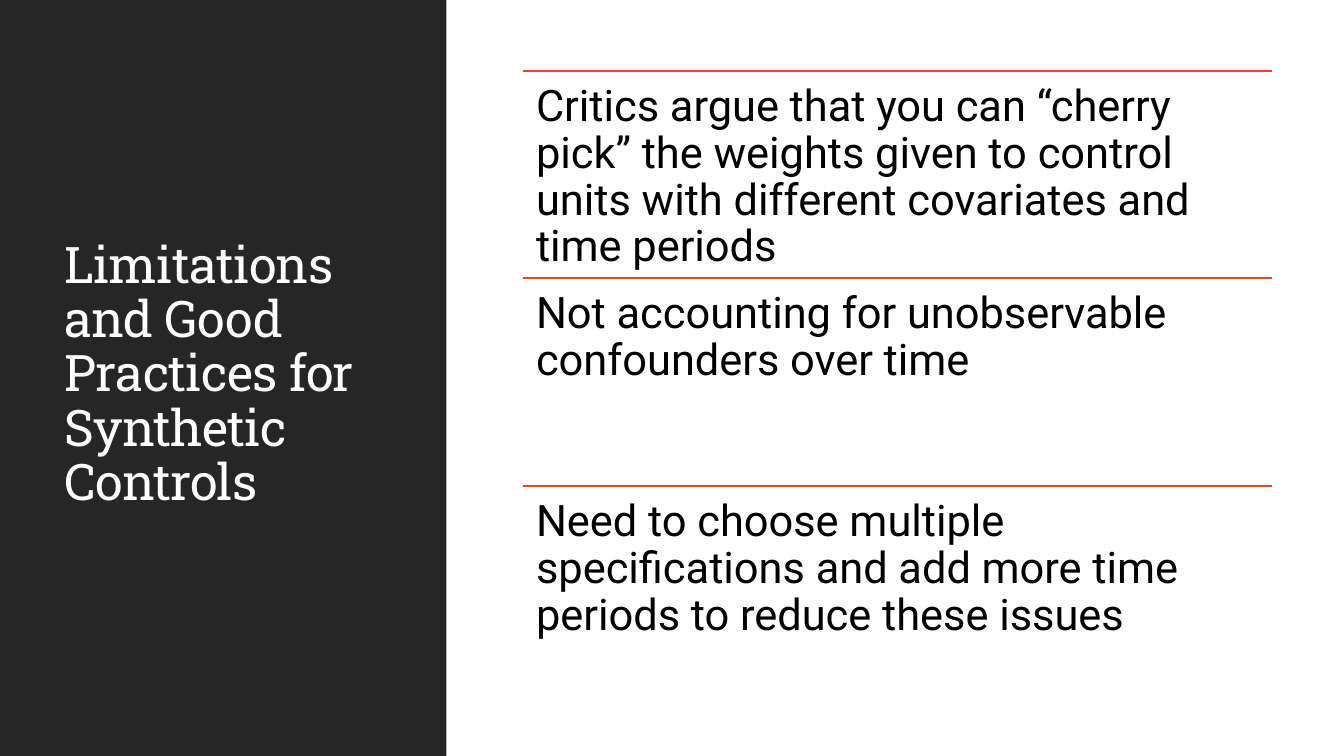
from dataclasses import dataclass

from lxml import etree
from pptx import Presentation
from pptx import util as u
from pptx.dml.color import RGBColor
from pptx.enum import shapes, text
from pptx.oxml import ns


@dataclass(frozen=True)
class Theme:
    dark: RGBColor = RGBColor(0x26, 0x26, 0x26)
    white: RGBColor = RGBColor(0xFF, 0xFF, 0xFF)
    black: RGBColor = RGBColor(0, 0, 0)
    accent: RGBColor = RGBColor(0xE6, 0x48, 0x23)
    heading_font: str = "Roboto Slab"
    body_font: str = "Roboto"
    heading_size: u.Length = u.Pt(36)
    body_size: u.Length = u.Pt(31)
    rule_width: u.Length = u.Pt(1.25)


@dataclass(frozen=True)
class Limitation:
    wording: str
    top: u.Length


THEME = Theme()
LIST_LEFT, LIST_WIDTH = u.Cm(13.18), u.Cm(18.87)
LIST_TOP, ROW_HEIGHT = u.Cm(1.78), u.Cm(5.23)
INSET = u.Cm(0.33)

WORDINGS = (
    "Critics argue that you can “cherry pick” the weights given to control "
    "units with different covariates and time periods",
    "Not accounting for unobservable confounders over time",
    "Need to choose multiple specifications and add more time periods "
    "to reduce these issues",
)


def write(frame, wording: str, font: str, size: u.Length, color: RGBColor):
    """Put one left-aligned run in a frame and return it."""
    frame.word_wrap = True
    frame.auto_size = text.MSO_AUTO_SIZE.NONE
    paragraph = frame.paragraphs[0]
    paragraph.alignment = text.PP_ALIGN.LEFT
    paragraph.line_spacing = 0.9
    run = paragraph.add_run()
    run.text = wording
    run.font.name, run.font.size = font, size
    run.font.color.rgb = color
    return run


def draw_sidebar(slide, height: u.Length) -> None:
    sidebar = slide.shapes.add_shape(
        shapes.MSO_SHAPE.RECTANGLE, 0, 0, u.Cm(11.25), height)
    sidebar.shadow.inherit = False
    sidebar.fill.solid()
    sidebar.fill.fore_color.rgb = THEME.dark
    sidebar.line.fill.background()
    # Send the sidebar behind the title
    slide.shapes._spTree.insert(2, sidebar._element)


def draw_heading(slide) -> None:
    heading = slide.shapes.title
    heading.left, heading.top = u.Cm(1.37), u.Cm(1.45)
    heading.width, heading.height = u.Cm(8.56), u.Cm(16.03)
    heading.text_frame.vertical_anchor = text.MSO_ANCHOR.MIDDLE
    run = write(heading.text_frame,
                "Limitations and Good Practices for Synthetic Controls",
                THEME.heading_font, THEME.heading_size, THEME.white)
    run.font._element.set("spc", "-50")


def draw_limitation(group, limitation: Limitation) -> None:
    rule = group.shapes.add_connector(
        shapes.MSO_CONNECTOR.STRAIGHT, LIST_LEFT, limitation.top,
        LIST_LEFT + LIST_WIDTH, limitation.top)
    rule.line.color.rgb = THEME.accent
    rule.line.width = THEME.rule_width
    etree.SubElement(rule._element.spPr, ns.qn("a:effectLst"))

    statement = group.shapes.add_textbox(
        LIST_LEFT, limitation.top, LIST_WIDTH, ROW_HEIGHT).text_frame
    statement.margin_left = statement.margin_right = INSET
    statement.margin_top = statement.margin_bottom = INSET
    statement.vertical_anchor = text.MSO_ANCHOR.TOP
    write(statement, limitation.wording,
          THEME.body_font, THEME.body_size, THEME.black)


def main() -> None:
    deck = Presentation()
    deck.slide_width, deck.slide_height = u.Cm(33.87), u.Cm(19.05)
    slide = deck.slides.add_slide(deck.slide_layouts.get_by_name("Title Only"))
    slide.background.fill.solid()
    slide.background.fill.fore_color.rgb = THEME.white

    # Dark sidebar with the heading
    draw_sidebar(slide, deck.slide_height)
    draw_heading(slide)

    # Ruled list of limitations
    limitations = slide.shapes.add_group_shape()
    for row, wording in enumerate(WORDINGS):
        draw_limitation(limitations,
                        Limitation(wording, LIST_TOP + row * ROW_HEIGHT))

    deck.save("out.pptx")


if __name__ == "__main__":
    main()
